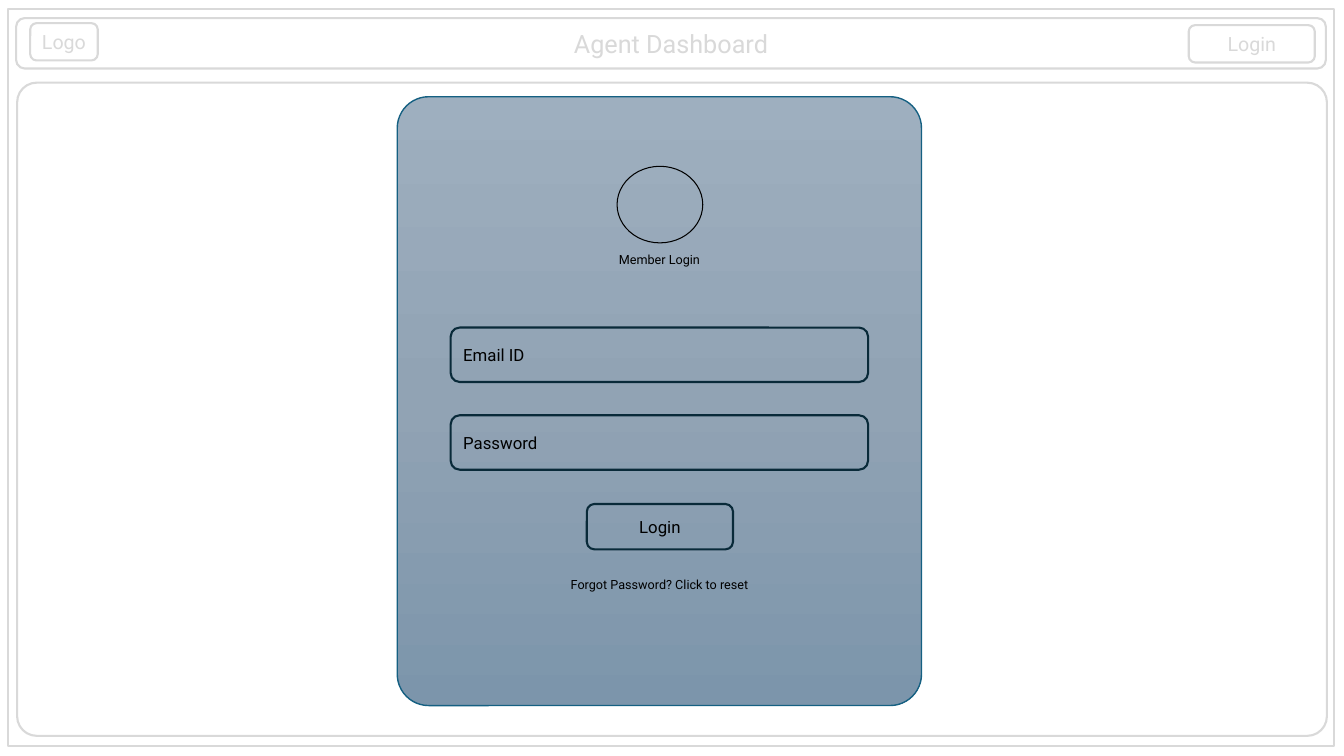
from copy import deepcopy
from dataclasses import dataclass

from pptx import Presentation
from pptx.dml.color import RGBColor
from pptx.enum.shapes import MSO_SHAPE
from pptx.enum.text import MSO_ANCHOR, MSO_AUTO_SIZE, PP_ALIGN
from pptx.oxml.ns import qn
from pptx.util import Pt

ROUNDED = MSO_SHAPE.ROUNDED_RECTANGLE
ELLIPSE = MSO_SHAPE.OVAL
MIDDLE = MSO_ANCHOR.MIDDLE
GROW = MSO_AUTO_SIZE.SHAPE_TO_FIT_TEXT
LEFT, CENTER = PP_ALIGN.LEFT, PP_ALIGN.CENTER
EMU_PER_PX = 9144


@dataclass(frozen=True)
class Theme:
    font: str = "Roboto"
    paper: str = "FFFFFF"
    wireframe: str = "D9D9D9"
    ink: str = "000000"
    field_line: str = "092A39"
    card_line: str = "156082"
    card_stops: tuple = ((0, "9EAFBF"), (0.5, "91A3B4"), (1, "7C95AB"))
    title: int = 18
    header: int = 14
    field: int = 12
    caption: int = 9


THEME = Theme()


def px(*lengths):
    return [length * EMU_PER_PX for length in lengths]


def rgb(color):
    return RGBColor.from_string(color)


def write(shape, text, size, color, align=CENTER):
    shape.text_frame.word_wrap = True
    paragraph = shape.text_frame.paragraphs[0]
    paragraph.alignment = align
    run = paragraph.add_run()
    run.text = text
    run.font.name = THEME.font
    run.font.size = Pt(size)
    run.font.color.rgb = rgb(color)


def add_outline(slide, box, line, width, kind=ROUNDED, fill=None, corner=None):
    shape = slide.shapes.add_shape(kind, *px(*box))
    shape.shadow.inherit = False
    shape.line.color.rgb = rgb(line)
    shape.line.width = Pt(width)
    if corner is not None:
        shape.adjustments[0] = corner
    if fill:
        shape.fill.solid()
        shape.fill.fore_color.rgb = rgb(fill)
    else:
        shape.fill.background()
    shape.text_frame.vertical_anchor = MIDDLE
    return shape


def add_panel(slide, box, corner, text=None):
    panel = add_outline(slide, box, THEME.wireframe, 1.5,
                        fill=THEME.paper, corner=corner)
    if text:
        write(panel, text, THEME.header, THEME.wireframe)


def add_card(slide, box):
    card = add_outline(slide, box, THEME.card_line, 1, corner=0.06)
    card.fill.gradient()
    card.fill.gradient_angle = 270
    stop_list = card.element.spPr.find(qn("a:gradFill")).find(qn("a:gsLst"))
    stop_list.append(deepcopy(stop_list[-1]))
    for stop, (position, color) in zip(card.fill.gradient_stops, THEME.card_stops):
        stop.position = position
        stop.color.rgb = rgb(color)


def add_field(slide, box, text, align=LEFT):
    field = add_outline(slide, box, THEME.field_line, 1.5)
    write(field, text, THEME.field, THEME.ink, align)


def add_label(slide, box, text, size, color):
    label = slide.shapes.add_textbox(*px(*box))
    write(label, text, size, color)
    label.text_frame.auto_size = GROW


def main():
    presentation = Presentation()
    presentation.slide_width, presentation.slide_height = px(1333, 750)
    slide = presentation.slides.add_slide(presentation.slide_layouts[6])

    add_panel(slide, (8, 9, 1315, 731), 0)
    add_panel(slide, (17, 82, 1299, 648), 0.03)
    add_panel(slide, (16, 18, 1299, 50), 0.17)
    add_panel(slide, (1179, 25, 125, 37), 0.17, "Login")
    add_panel(slide, (30, 23, 67, 37), 0.17, "Logo")
    add_label(slide, (332, 23, 667, 40), "Agent Dashboard",
              THEME.title, THEME.wireframe)

    add_card(slide, (394, 96, 520, 604))
    add_outline(slide, (612, 165, 85, 76), THEME.ink, 0.75, kind=ELLIPSE)
    for row, text in enumerate(("Email ID", "Password")):
        add_field(slide, (447, 325 + 87 * row, 414, 54), text)
    add_field(slide, (582, 500, 145, 45), "Login", CENTER)
    for top, text in ((245, "Member Login"),
                      (567, "Forgot Password? Click to reset")):
        add_label(slide, (447, top, 414, 25), text, THEME.caption, THEME.ink)

    presentation.save("out.pptx")


if __name__ == "__main__":
    main()
